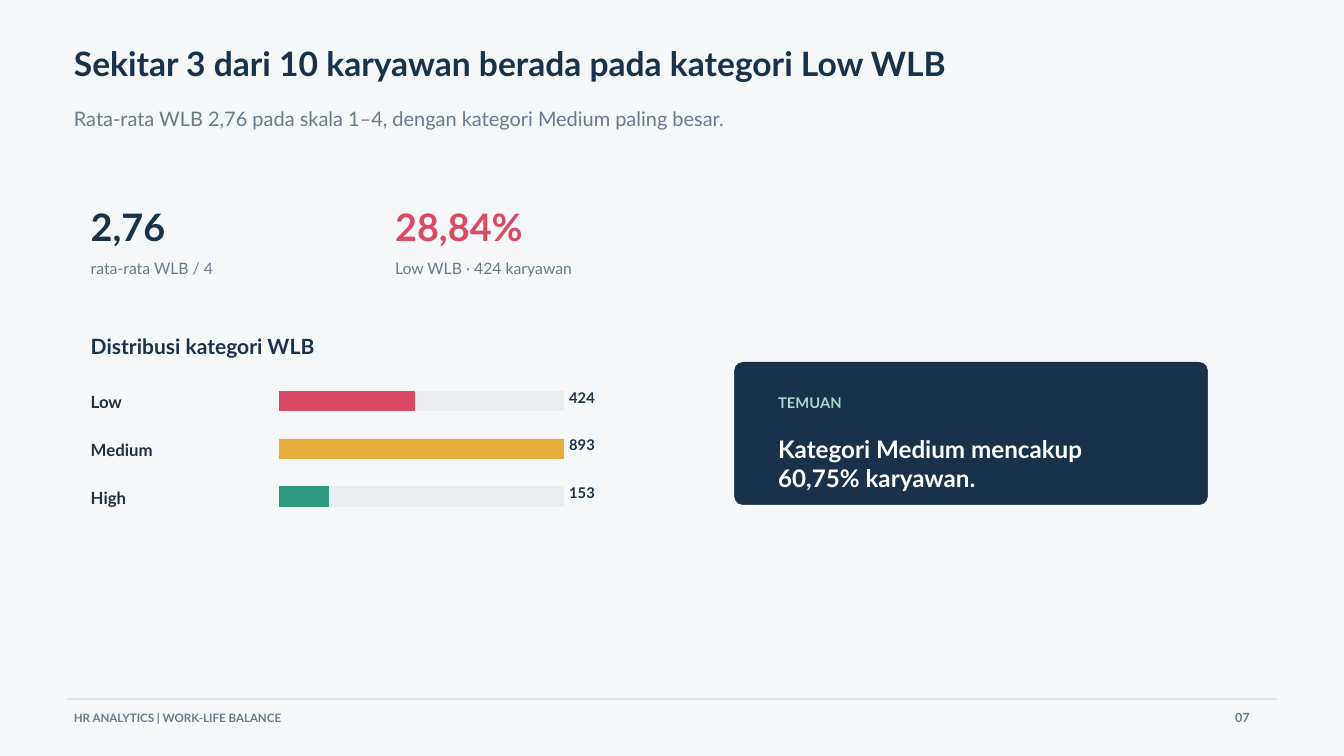
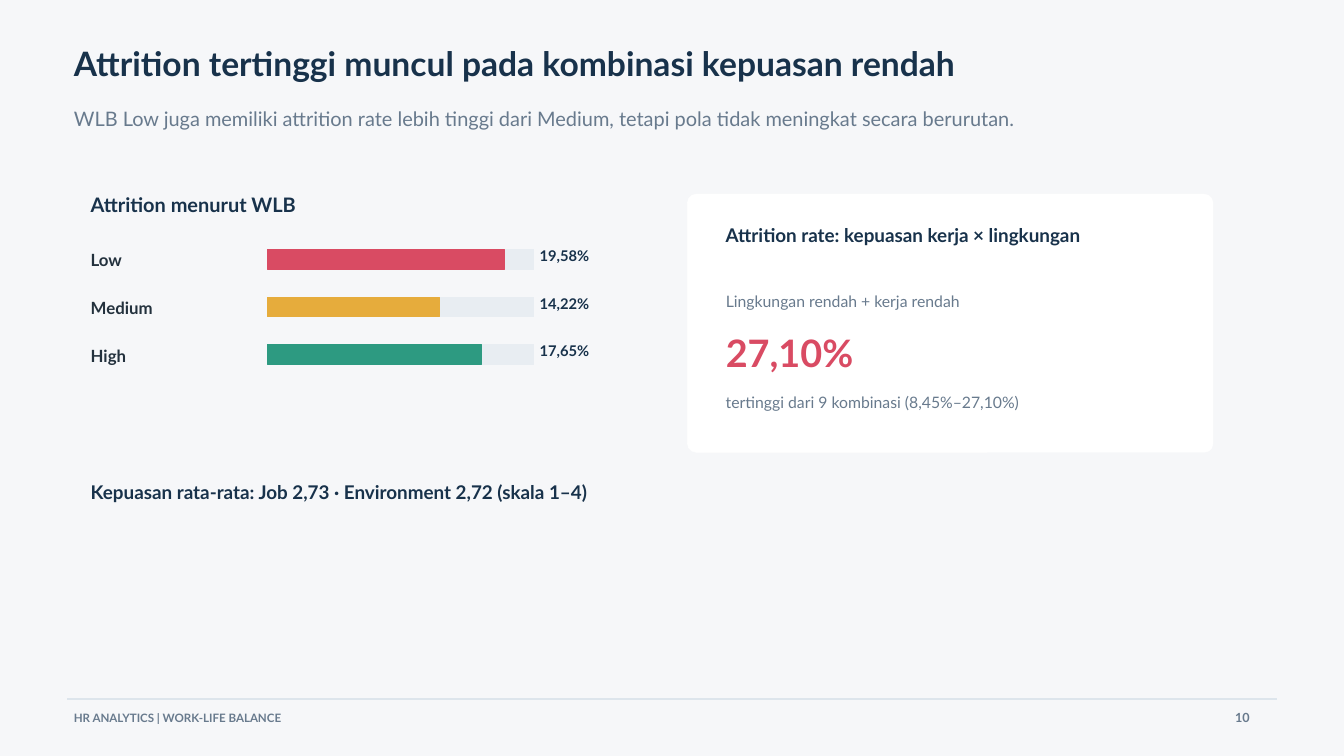
from pptx import Presentation
from pptx.dml.color import RGBColor
from pptx.enum.shapes import MSO_CONNECTOR as LINK, MSO_SHAPE as SHAPE
from pptx.enum.text import MSO_AUTO_SIZE as FIT
from pptx.oxml.ns import qn
from pptx.util import Pt
from lxml import etree

# Palette
PAPER = RGBColor(0xF6, 0xF7, 0xF9)
WHITE = RGBColor(0xFF, 0xFF, 0xFF)
NAVY = RGBColor(0x18, 0x32, 0x4B)
INK = RGBColor(0x23, 0x31, 0x3D)
GREY = RGBColor(0x68, 0x7A, 0x8D)
RULE = RGBColor(0xDD, 0xE5, 0xEC)
TRACK = RGBColor(0xE8, 0xED, 0xF2)
RED = RGBColor(0xD9, 0x4B, 0x63)
AMBER = RGBColor(0xE6, 0xAC, 0x3C)
GREEN = RGBColor(0x2D, 0x9A, 0x81)
MINT = RGBColor(0xA8, 0xD6, 0xD0)

FONT = "Lato"
PX = 9144  # 100 px to the inch
LEFT = 135  # left edge of the body
LEVELS = [("Low", RED), ("Medium", AMBER), ("High", GREEN)]


class Deck:
    def __init__(self):
        self.prs = Presentation()
        self.prs.slide_width = 2000 * PX
        self.prs.slide_height = 1125 * PX
        self.slide = None

    def page(self, title, lead, num):
        """Start a slide with its title, lead line and footer."""
        self.slide = self.prs.slides.add_slide(self.prs.slide_layouts[6])
        fill = self.slide.background.fill
        fill.solid()
        fill.fore_color.rgb = PAPER
        self.text(title, 110, 64, 1761, 81, 36, NAVY, True)
        self.text(lead, 110, 159, 1746, 70, 21.4, GREY)
        self.line(100, 1040, 1900)
        self.text("HR ANALYTICS | WORK-LIFE BALANCE", 110, 1058, 996, 28, 12.4, GREY, True)
        self.text(num, 1838, 1057, 55, 29, 13.5, GREY, True)

    def text(self, words, x, y, w, h, size, color, bold=False):
        box = self.slide.shapes.add_textbox(x * PX, y * PX, w * PX, h * PX)
        frame = box.text_frame
        frame.margin_left = frame.margin_right = 0
        frame.margin_top = frame.margin_bottom = 0
        frame.word_wrap = True
        frame.auto_size = FIT.SHAPE_TO_FIT_TEXT
        par = frame.paragraphs[0]
        par.text = words
        par.line_spacing = Pt(round(size * 1.2, 1))
        font = par.font
        font.name, font.size, font.bold = FONT, Pt(size), bold
        font.color.rgb = color

    def rect(self, x, y, w, h, color, kind=SHAPE.RECTANGLE):
        box = self.slide.shapes.add_shape(kind, x * PX, y * PX, w * PX, h * PX)
        box.shadow.inherit = False
        box.fill.solid()
        box.fill.fore_color.rgb = color
        box.line.color.rgb = color
        box.line.width = Pt(0.56)
        return box

    def card(self, x, y, w, h, color):
        box = self.rect(x, y, w, h, color, SHAPE.ROUNDED_RECTANGLE)
        box.adjustments[0] = 13 / min(w, h)

    def line(self, x, y, end):
        rule = self.slide.shapes.add_connector(LINK.STRAIGHT, x * PX, y * PX, end * PX, y * PX)
        rule.line.color.rgb = RULE
        rule.line.width = Pt(2)
        etree.SubElement(rule._element.spPr, qn("a:effectLst"))

    def stat(self, value, note, x, w, color):
        self.text(value, x, 303, w, 76, 40.5, color, True)
        self.text(note, x, 385, w, 66, 16.9, GREY)

    def bars(self, x, top, w, peak, values):
        """One bar per level on a track that stands for the peak value."""
        for i, ((name, color), value) in enumerate(zip(LEVELS, values)):
            y = top + 71 * i
            self.text(name, LEFT, y + 1, x - LEFT - 10, 31, 18, INK, True)
            self.rect(x, y, w, 29, TRACK)
            amount = float(value.rstrip("%").replace(",", "."))
            self.rect(x, y, round(w * amount / peak), 29, color)
            self.text(value, x + w + 9, y - 4, 130, 34, 15.8, NAVY, True)


def spread(deck):
    deck.page("Sekitar 3 dari 10 karyawan berada pada kategori Low WLB",
              "Rata-rata WLB 2,76 pada skala 1–4, dengan kategori Medium paling besar.", "07")

    # Key figures
    deck.stat("2,76", "rata-rata WLB / 4", LEFT, 355, NAVY)
    deck.stat("28,84%", "Low WLB · 424 karyawan", 588, 511, RED)

    # Headcount by level
    deck.text("Distribusi kategori WLB", LEFT, 497, 761, 37, 22.5, NAVY, True)
    deck.bars(416, 582, 422, 893, ["424", "893", "153"])

    # Finding
    deck.card(1093, 539, 704, 212, NAVY)
    deck.text("TEMUAN", 1158, 586, 574, 24, 15.8, MINT, True)
    deck.text("Kategori Medium mencakup 60,75% karyawan.", 1158, 646, 574, 71, 25.9, WHITE, True)


def churn(deck):
    deck.page("Attrition tertinggi muncul pada kombinasi kepuasan rendah",
              "WLB Low juga memiliki attrition rate lebih tinggi dari Medium, "
              "tetapi pola tidak meningkat secara berurutan.", "10")

    # Attrition by level
    deck.text("Attrition menurut WLB", LEFT, 287, 667, 36, 21.4, NAVY, True)
    deck.bars(398, 371, 396, 22, ["19,58%", "14,22%", "17,65%"])

    # Worst pairing
    deck.card(1023, 289, 782, 384, WHITE)
    deck.text("Attrition rate: kepuasan kerja × lingkungan", 1080, 333, 667, 60, 20.2, NAVY, True)
    deck.text("Lingkungan rendah + kerja rendah", 1080, 434, 652, 30, 16.9, GREY)
    deck.text("27,10%", 1080, 490, 308, 76, 40.5, RED, True)
    deck.text("tertinggi dari 9 kombinasi (8,45%–27,10%)", 1080, 584, 636, 32, 16.9, GREY)

    # Mean scores
    deck.text("Kepuasan rata-rata: Job 2,73 · Environment 2,72 (skala 1–4)",
              LEFT, 716, 1668, 45, 20.2, NAVY, True)


def main():
    deck = Deck()
    spread(deck)
    churn(deck)
    deck.prs.save("out.pptx")


if __name__ == "__main__":
    main()
